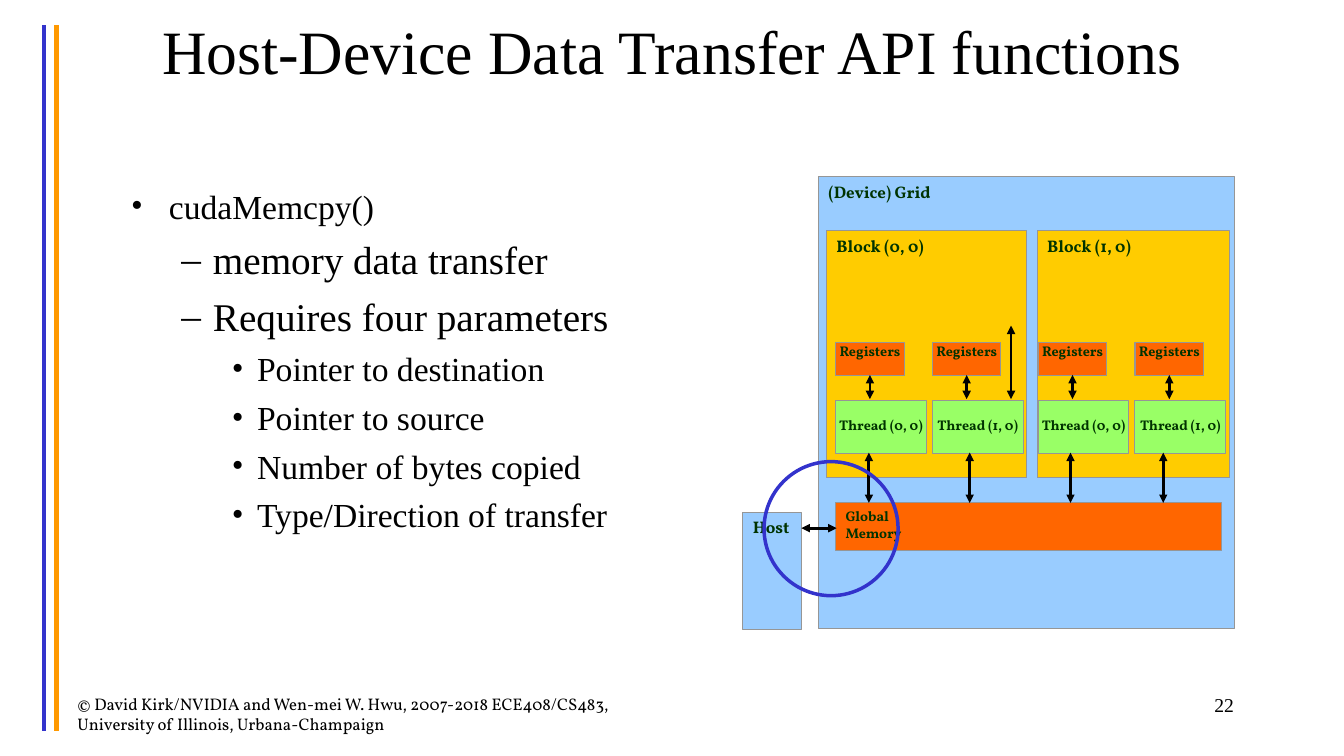
from lxml.etree import SubElement
from pptx import Presentation
from pptx.dml.color import RGBColor
from pptx.enum.shapes import MSO_CONNECTOR, MSO_SHAPE
from pptx.enum.text import MSO_ANCHOR, MSO_AUTO_SIZE, PP_ALIGN
from pptx.oxml.ns import qn
from pptx.util import Inches, Pt

BLACK = RGBColor(0x00, 0x00, 0x00)
DARK_GREEN = RGBColor(0x00, 0x33, 0x00)
GREY = RGBColor(0x96, 0x96, 0x96)
INDIGO = RGBColor(0x33, 0x33, 0xCC)
AMBER = RGBColor(0xFF, 0x99, 0x00)
SKY = RGBColor(0x99, 0xCC, 0xFF)
ORANGE = RGBColor(0xFF, 0x66, 0x00)
YELLOW = RGBColor(0xFF, 0xCC, 0x00)
LIME = RGBColor(0x99, 0xFF, 0x66)

SERIF = "Times New Roman"
LABEL = "Vollkorn"
CELL = Inches(0.1)  # the slide is a grid of 133.3 columns by 75 rows

# Per list level: bullet, left margin, hanging indent
BULLETS = [("•", 3.75, 3.75), ("–", 8.13, 3.13), ("•", 12.5, 2.5)]

FUNCTION_NOTES = [
    (0, "cudaMemcpy()", 24),
    (1, "memory data transfer", 28),
    (1, "Requires four parameters", 28),
    (2, "Pointer to destination", 24),
    (2, "Pointer to source", 24),
    (2, "Number of bytes copied", 24),
    (2, "Type/Direction of transfer", 24),
]

# Per block: label, left, width, first thread's left, memory arrow columns
BLOCKS = [
    ("Block (0, 0)", 82, 19.8, 82.9, (86.2, 96.2)),
    ("Block (1, 0)", 102.9, 19.1, 103, (106.2, 115.4)),
]
THREADS = ["Thread (0, 0)", "Thread (1, 0)"]
THREAD_STEP = 9.6


def cells(*counts):
    """Turn counts of grid cells into slide lengths."""
    return [int(count * CELL) for count in counts]


def write(paragraph, text, size=12, font=LABEL, color=BLACK, bold=False,
          align=PP_ALIGN.LEFT):
    paragraph.alignment = align
    run = paragraph.add_run()
    run.text = text
    run.font.size = Pt(size)
    run.font.name = font
    run.font.bold = bold
    run.font.color.rgb = color


class SlideBuilder:
    def __init__(self, slide):
        self.slide = slide

    def place(self, shape, area):
        shape.left, shape.top, shape.width, shape.height = cells(*area)
        frame = shape.text_frame
        frame.auto_size = MSO_AUTO_SIZE.NONE
        frame.word_wrap = True
        return frame

    def title(self, text, area):
        frame = self.place(self.slide.shapes.title, area)
        frame.vertical_anchor = MSO_ANCHOR.MIDDLE
        write(frame.paragraphs[0], text, size=44, font=SERIF,
              align=PP_ALIGN.CENTER)

    def bullets(self, items, area):
        frame = self.place(self.slide.placeholders[1], area)
        for index, (level, text, size) in enumerate(items):
            paragraph = frame.add_paragraph() if index else frame.paragraphs[0]
            paragraph.level = level
            paragraph.space_before = Pt(size / 4 if index else 0)
            mark, margin, hanging = BULLETS[level]
            properties = paragraph._p.get_or_add_pPr()
            margin, hanging = cells(margin, hanging)
            properties.set("marL", str(margin))
            properties.set("indent", str(-hanging))
            SubElement(properties, qn("a:buFont"), typeface=SERIF)
            SubElement(properties, qn("a:buChar"), char=mark)
            write(paragraph, text, size=size, font=SERIF)

    def text(self, text, area, **style):
        frame = self.place(self.slide.shapes.add_textbox(*cells(*area)), area)
        write(frame.paragraphs[0], text, **style)

    def box(self, text, area, fill, insets=(1, 0.5, 0, 0), **style):
        shape = self.slide.shapes.add_shape(MSO_SHAPE.RECTANGLE, *cells(*area))
        shape.shadow.inherit = False
        shape.fill.solid()
        shape.fill.fore_color.rgb = fill
        shape.line.color.rgb = GREY
        shape.line.width = Pt(0.75)
        frame = self.place(shape, area)
        frame.vertical_anchor = MSO_ANCHOR.TOP
        (frame.margin_left, frame.margin_top,
         frame.margin_right, frame.margin_bottom) = cells(*insets)
        for index, line in enumerate(text.split("\n")):
            paragraph = frame.add_paragraph() if index else frame.paragraphs[0]
            write(paragraph, line, color=DARK_GREEN, bold=True, **style)

    def ring(self, area, color, width):
        shape = self.slide.shapes.add_shape(
            MSO_SHAPE.FLOWCHART_CONNECTOR, *cells(*area))
        shape.shadow.inherit = False
        shape.fill.background()
        shape.line.color.rgb = color
        shape.line.width = Pt(width)

    def line(self, start, end, color=BLACK, width=2, arrows=True):
        connector = self.slide.shapes.add_connector(
            MSO_CONNECTOR.STRAIGHT, *cells(*start, *end))
        connector.line.color.rgb = color
        connector.line.width = Pt(width)
        if arrows:
            outline = connector.line._get_or_add_ln()
            for tip in ("a:headEnd", "a:tailEnd"):
                SubElement(outline, qn(tip), type="triangle")
        SubElement(connector._element.spPr, qn("a:effectLst"))

    def thread(self, label, left, memory_column):
        """Draw a thread with its registers and both of its arrows."""
        self.box(label, (left, 39.7, 9, 5.3), LIME, insets=(0, 1.6, 0, 0),
                 size=10, align=PP_ALIGN.CENTER)
        self.box("Registers", (left, 34, 6.8, 3.3), ORANGE,
                 insets=(0, 0, 0, 0), size=10, align=PP_ALIGN.CENTER)
        self.line((left + 3.4, 39.6), (left + 3.4, 37.2))
        self.line((memory_column, 44.9), (memory_column, 49.9))


def main():
    deck = Presentation()
    deck.slide_width, deck.slide_height = cells(133.33, 75)
    page = SlideBuilder(deck.slides.add_slide(deck.slide_layouts[1]))

    for column, color in ((4.4, INDIGO), (5.6, AMBER)):
        page.line((column, 2.5), (column, 72.5), color, 3, arrows=False)
    page.title("Host-Device Data Transfer API functions", (6.7, 0, 120, 9.8))
    page.bullets(FUNCTION_NOTES, (12, 17.9, 52.5, 50))

    page.box("Host", (73.7, 50.8, 5.8, 11.7), SKY)
    page.box("(Device) Grid", (81.2, 17.5, 41.3, 44.9), SKY)
    page.box("Global\nMemory", (82.9, 49.9, 38.3, 4.7), ORANGE, size=10)
    for label, left, width, first_thread, memory_columns in BLOCKS:
        page.box(label, (left, 22.9, width, 24.5), YELLOW)
        for index, (thread, column) in enumerate(zip(THREADS, memory_columns)):
            page.thread(thread, first_thread + index * THREAD_STEP, column)
    page.line((100.3, 39.6), (100.3, 32.3))
    page.line((79.5, 52.4), (83, 52.4))
    page.ring((75.8, 45.8, 13.3, 13.3), INDIGO, 2.5)

    page.text("22", (95.6, 68.3, 27.8, 5), size=14, font=SERIF,
              align=PP_ALIGN.RIGHT)
    page.text("© David Kirk/NVIDIA and Wen-mei W. Hwu, 2007-2018 "
              "ECE408/CS483, University of Illinois, Urbana-Champaign",
              (6.7, 68.3, 61.1, 5))
    deck.save("out.pptx")


if __name__ == "__main__":
    main()
